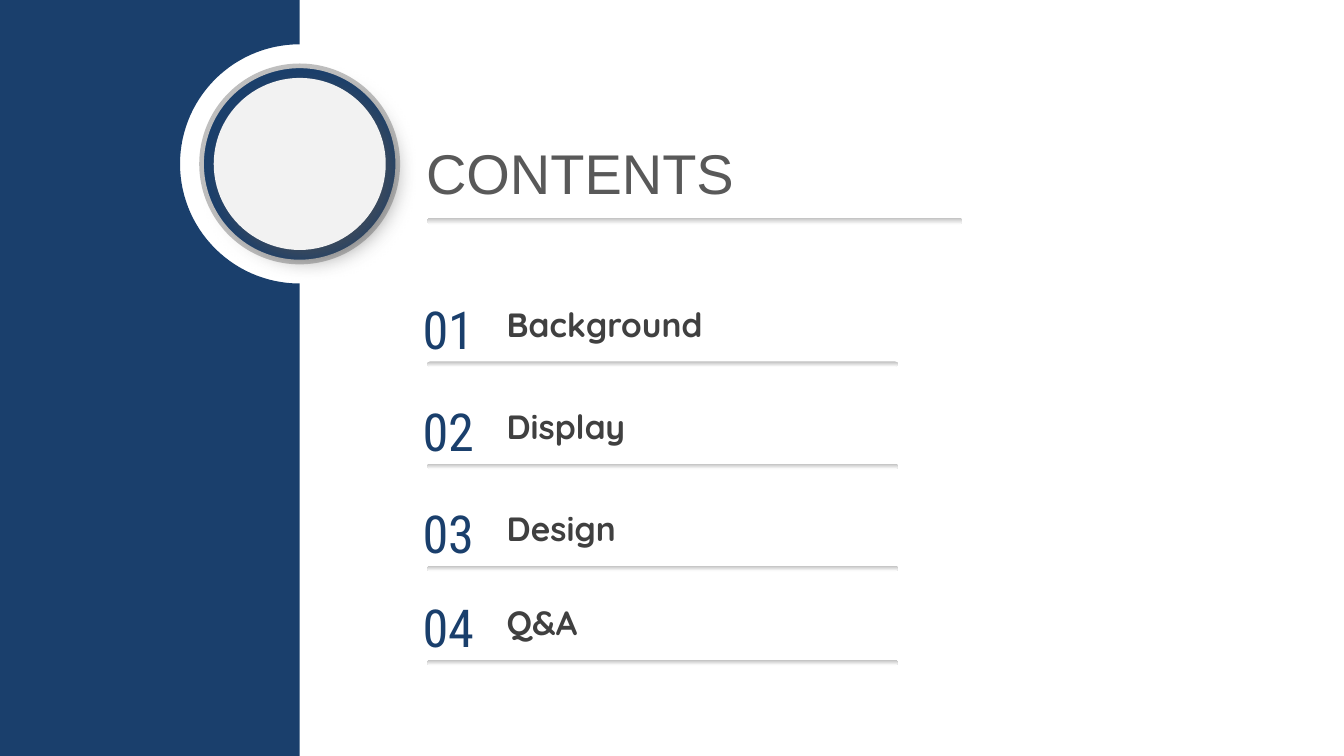
"""Build a contents slide with a notched side panel and four numbered entries."""
from dataclasses import dataclass
from math import cos, pi, sin

from lxml.etree import SubElement
from pptx import Presentation
from pptx.dml.color import RGBColor
from pptx.enum.shapes import MSO_SHAPE
from pptx.enum.text import MSO_AUTO_SIZE, PP_ALIGN
from pptx.oxml.ns import qn
from pptx.shapes.autoshape import Shape
from pptx.slide import Slide
from pptx.util import Inches, Pt

NAVY, SILVER, WHITE = "1A3F6C", "BFBFBF", "FFFFFF"
SLIDE_WIDTH = 10
SLIDE_HEIGHT = SLIDE_WIDTH * 9 / 16
PANEL_LEFT, PANEL_RIGHT = -0.1, 2.23
CENTER_Y, NOTCH_RADIUS = 1.22, 0.89
ARC_STEPS = 60


@dataclass(frozen=True)
class TextStyle:
    font: str
    size: float
    color: str
    bold: bool = False
    align: PP_ALIGN = PP_ALIGN.LEFT


@dataclass(frozen=True)
class Entry:
    number: str
    title: str
    top: float


HEADING = TextStyle("Arial", 30, "595959")
NUMBER = TextStyle("Roboto Condensed", 28, NAVY, align=PP_ALIGN.CENTER)
TITLE = TextStyle("Quicksand", 18, "404040", bold=True)
ENTRIES = [
    Entry("01", "Background", 2.17),
    Entry("02", "Display", 2.93),
    Entry("03", "Design", 3.69),
    Entry("04", "Q&A", 4.39),
]


def rgb(color: str) -> RGBColor:
    return RGBColor.from_string(color)


def fill_plain(shape: Shape, color: str) -> None:
    shape.shadow.inherit = False
    shape.fill.solid()
    shape.fill.fore_color.rgb = rgb(color)
    shape.line.fill.background()


def add_panel(slide: Slide) -> None:
    angles = [-pi / 2 - pi * step / ARC_STEPS for step in range(ARC_STEPS + 1)]
    notch = [
        (PANEL_RIGHT + NOTCH_RADIUS * cos(angle), CENTER_Y + NOTCH_RADIUS * sin(angle))
        for angle in angles
    ]
    corners = [(PANEL_RIGHT, SLIDE_HEIGHT), (PANEL_LEFT, SLIDE_HEIGHT)]
    points = [(PANEL_RIGHT, 0), *notch, *corners]
    builder = slide.shapes.build_freeform(Inches(PANEL_LEFT), 0)
    builder.add_line_segments([(Inches(x), Inches(y)) for x, y in points])
    fill_plain(builder.convert_to_shape(), NAVY)


def add_circle(slide: Slide, diameter: float, color: str) -> Shape:
    left, top = PANEL_RIGHT - diameter / 2, CENTER_Y - diameter / 2
    circle = slide.shapes.add_shape(
        MSO_SHAPE.OVAL, Inches(left), Inches(top), Inches(diameter), Inches(diameter)
    )
    fill_plain(circle, color)
    return circle


def add_soft_shadow(shape: Shape) -> None:
    effects = shape.element.spPr.find(qn("a:effectLst"))
    shadow = SubElement(
        effects, qn("a:outerShdw"), blurRad=str(Pt(12)), dist=str(Pt(6)),
        dir=str(45 * 60000), algn="tl", rotWithShape="0",
    )
    color = SubElement(shadow, qn("a:srgbClr"), val="525252")
    SubElement(color, qn("a:alpha"), val="64000")


def add_medallion(slide: Slide) -> None:
    ring = add_circle(slide, 1.46, NAVY)
    ring.line.color.rgb = rgb(SILVER)
    ring.line.width = Pt(2.5)
    add_soft_shadow(add_circle(slide, 1.28, "F2F2F2"))


def add_text(
    slide: Slide, text: str, left: float, top: float, width: float, height: float,
    style: TextStyle,
) -> None:
    box = slide.shapes.add_textbox(Inches(left), Inches(top), Inches(width), Inches(height))
    frame = box.text_frame
    frame.word_wrap = True
    frame.auto_size = MSO_AUTO_SIZE.SHAPE_TO_FIT_TEXT
    frame.margin_left = frame.margin_right = Inches(0.08)
    frame.margin_top = frame.margin_bottom = Inches(0.04)
    paragraph = frame.paragraphs[0]
    paragraph.text = text
    paragraph.alignment = style.align
    paragraph.font.name = style.font
    paragraph.font.size = Pt(style.size)
    paragraph.font.bold = style.bold
    paragraph.font.color.rgb = rgb(style.color)


def add_rule(slide: Slide, top: float, width: float, height: float) -> None:
    rule = slide.shapes.add_shape(
        MSO_SHAPE.ROUNDED_RECTANGLE, Inches(3.18), Inches(top), Inches(width), Inches(height)
    )
    rule.adjustments[0] = 0.5
    rule.shadow.inherit = False
    rule.line.fill.background()
    rule.fill.gradient()
    rule.fill.gradient_angle = 270
    for stop, color in zip(rule.fill.gradient_stops, (SILVER, WHITE)):
        stop.color.rgb = rgb(color)


def main() -> None:
    presentation = Presentation()
    presentation.slide_width = Inches(SLIDE_WIDTH)
    presentation.slide_height = Inches(SLIDE_HEIGHT)
    slide = presentation.slides.add_slide(presentation.slide_layouts[6])
    add_panel(slide)
    add_medallion(slide)
    add_text(slide, "CONTENTS", 3.09, 0.99, 3.48, 0.58, HEADING)
    for entry in ENTRIES:
        add_text(slide, entry.number, 3.04, entry.top, 0.59, 0.55, NUMBER)
        add_text(slide, entry.title, 3.69, entry.top + 0.05, 2.28, 0.38, TITLE)
        add_rule(slide, entry.top + 0.52, 3.5, 0.04)
    add_rule(slide, 1.62, 3.98, 0.05)
    presentation.save("out.pptx")


if __name__ == "__main__":
    main()
